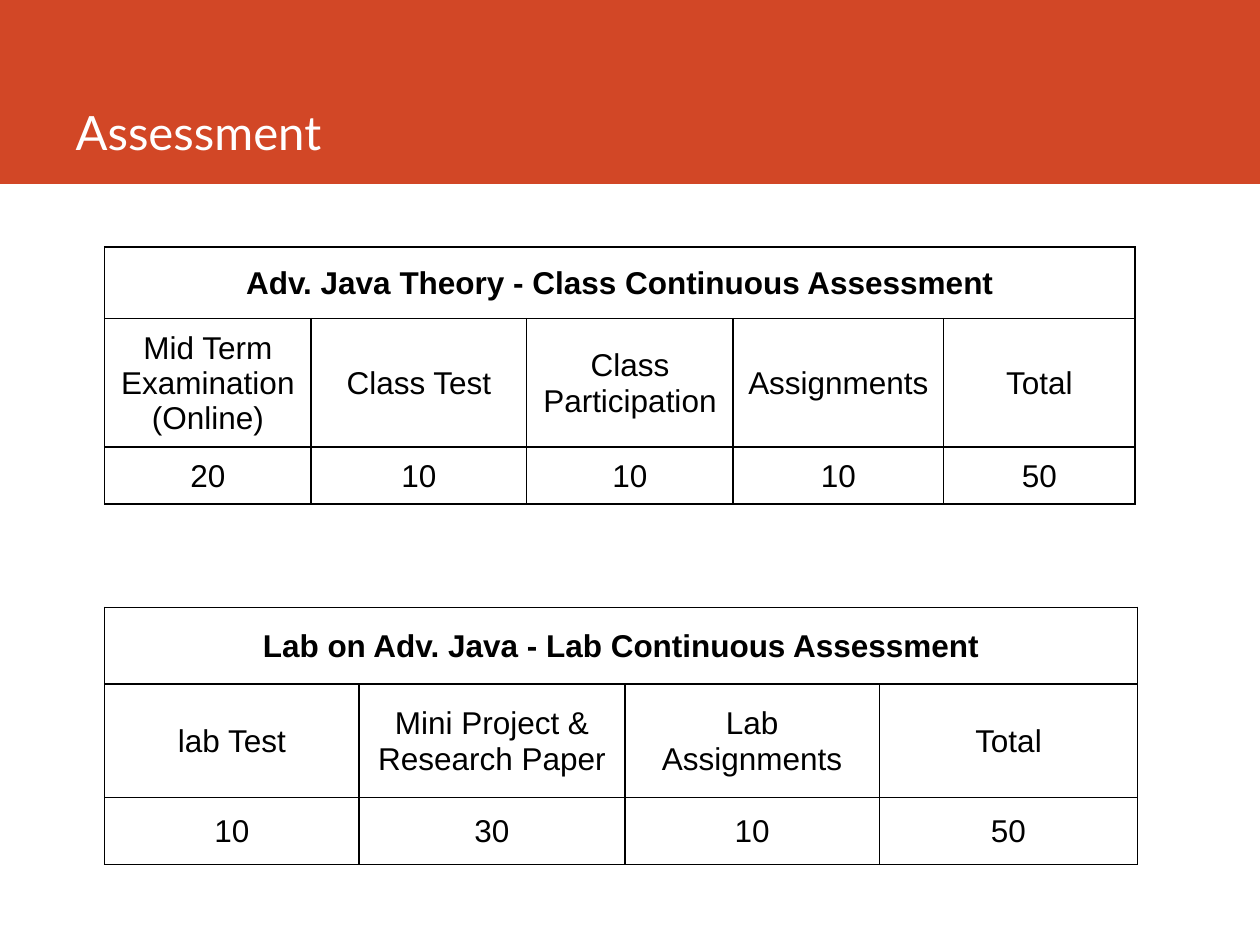
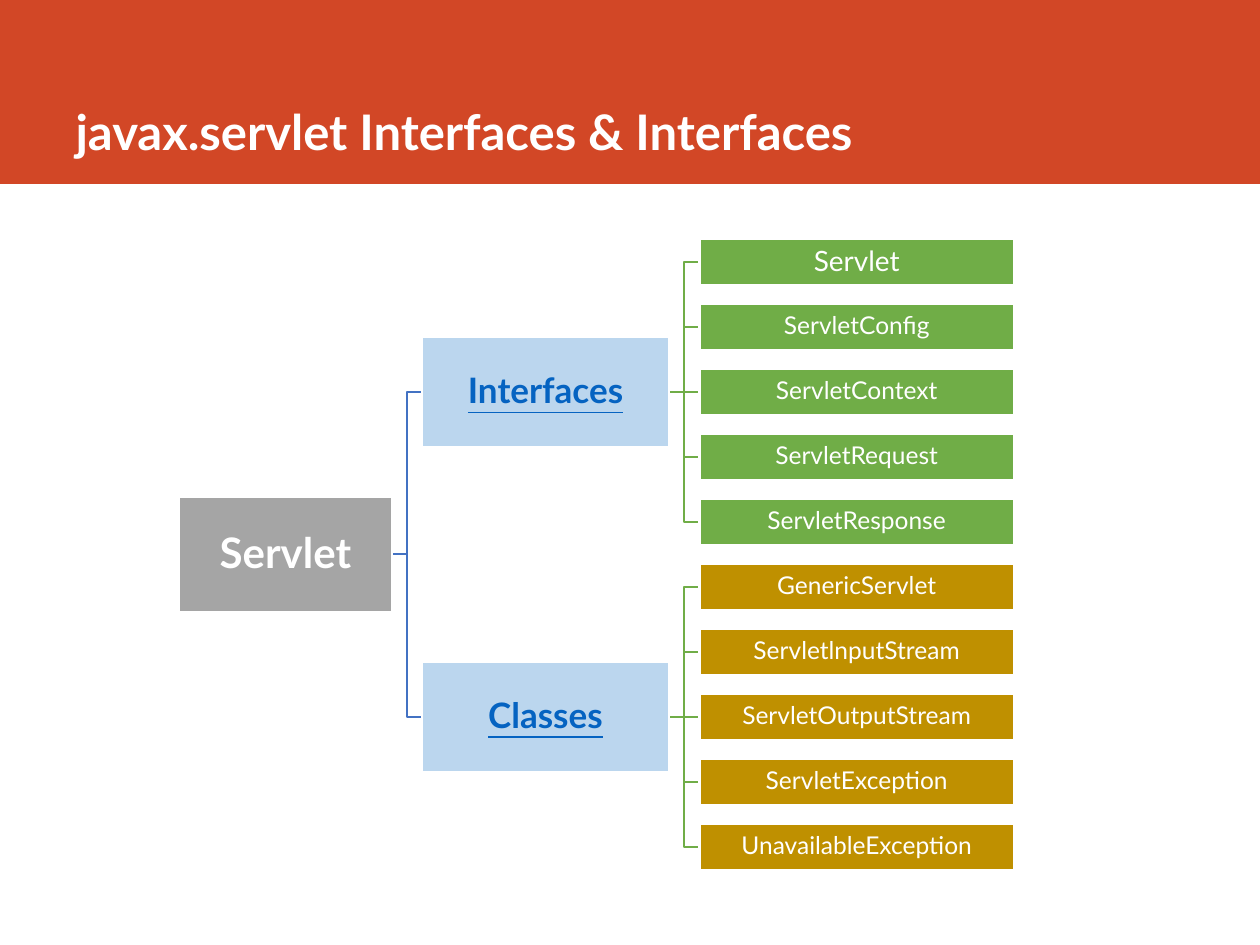
from lxml import etree
from pptx import Presentation
from pptx import util as u
from pptx.dml.color import RGBColor
from pptx.enum import shapes, text
from pptx.oxml import parse_xml
from pptx.oxml.ns import nsdecls, qn

ORANGE, WHITE, BLACK = "D24726", "FFFFFF", "000000"
GREY, SKY, GREEN, GOLD = "A5A5A5", "BBD6EE", "70AD47", "BF9000"
TRUNK_BLUE, LINK_BLUE = "4372C3", "0563C1"


def colour(code):
    return RGBColor.from_string(code)


def write(frame, words, size=18, font="Lato", ink=WHITE, bold=False, underline=None,
          align=text.PP_ALIGN.CENTER, spacing=None):
    """Fill a text frame; a newline starts a paragraph, a vertical tab breaks the line."""
    frame.text = words
    frame.word_wrap = True
    for paragraph in frame.paragraphs:
        paragraph.alignment = align
        paragraph.line_spacing = spacing
        for run in paragraph.runs:
            run.font.name, run.font.size = font, u.Pt(size)
            run.font.bold, run.font.underline = bold, underline
            run.font.color.rgb = colour(ink)


deck = Presentation()
deck.slide_width, deck.slide_height = u.Inches(10), u.Inches(7.5)
layout = deck.slide_layouts.get_by_name("Title Only")

# Slides and their titles
heading = layout.placeholders[0]
heading.left, heading.top = u.Inches(0.5), 0
heading.width, heading.height = u.Inches(8.82), u.Inches(1.32)

pages = []
for title, size, bold in [("Assessment", 27, False),
                          ("javax.servlet Interfaces & Interfaces", 28, True)]:
    page = deck.slides.add_slide(layout)
    frame = page.shapes.title.text_frame
    write(frame, title, size=size, bold=bold, align=text.PP_ALIGN.LEFT)
    frame.auto_size = text.MSO_AUTO_SIZE.NONE
    frame.vertical_anchor = text.MSO_ANCHOR.BOTTOM
    pages.append(page)
assessment, hierarchy = pages

# The title band belongs to the layout, behind the title
band = assessment.shapes.add_shape(shapes.MSO_SHAPE.RECTANGLE, 0, 0,
                                   deck.slide_width, u.Inches(1.46))
band.shadow.inherit = False
band.fill.solid()
band.fill.fore_color.rgb = colour(ORANGE)
band.line.fill.background()
layout.shapes.element.insert(2, band.element)

# Assessment tables: top, column widths, row heights, caption, rows
marks = [
    (1.96, [1.64, 1.71, 1.64, 1.67, 1.52], [0.57, 1.02, 0.45],
     "Adv. Java Theory - Class Continuous Assessment",
     [["Mid Term\vExamination\v(Online)", "Class Test", "Class Participation",
       "Assignments", "Total"],
      ["20", "10", "10", "10", "50"]]),
    (4.82, [2.02, 2.11, 2.02, 2.05], [0.61, 0.9, 0.53],
     "Lab on Adv. Java - Lab Continuous Assessment",
     [["lab Test", "Mini Project & Research Paper", "Lab\nAssignments", "Total"],
      ["10", "30", "10", "50"]]),
]
for top, widths, heights, caption, rows in marks:
    grid = assessment.shapes.add_table(
        len(heights), len(widths), u.Inches(0.83), u.Inches(top),
        u.Inches(sum(widths)), u.Inches(sum(heights))).table
    grid.first_row = grid.horz_banding = False
    for column, width in zip(grid.columns, widths):
        column.width = u.Inches(width)
    for row, height in zip(grid.rows, heights):
        row.height = u.Inches(height)
    for cell in grid.iter_cells():
        cell.margin_left = cell.margin_right = cell.margin_top = u.Inches(0.01)
        cell.margin_bottom = 0
        cell.vertical_anchor = text.MSO_ANCHOR.MIDDLE
        properties = cell._tc.get_or_add_tcPr()
        for side in ("lnL", "lnR", "lnT", "lnB"):
            properties.append(parse_xml(
                f'<a:{side} {nsdecls("a")} w="12700"><a:solidFill>'
                f'<a:srgbClr val="{BLACK}"/></a:solidFill></a:{side}>'))
        cell.fill.background()
    grid.cell(0, 0).merge(grid.cell(0, len(widths) - 1))
    write(grid.cell(0, 0).text_frame, caption, font="Arial", ink=BLACK, bold=True)
    for r, row in enumerate(rows, start=1):
        for c, words in enumerate(row):
            write(grid.cell(r, c).text_frame, words, font="Arial", ink=BLACK)

# Servlet hierarchy: each branch is centred on its middle member
branches = [
    ("Interfaces", GREEN, ["Servlet", "ServletConfig", "ServletContext",
                           "ServletRequest", "ServletResponse"]),
    ("Classes", GOLD, ["GenericServlet", "ServletlnputStream", "ServletOutputStream",
                       "ServletException", "UnavailableException"]),
]
FIRST_CENTRE, LAST_CENTRE = 2.08, 6.72
pitch = (LAST_CENTRE - FIRST_CENTRE) / 9
root_style = dict(size=24, bold=True)
branch_style = dict(size=20, bold=True, underline=True, ink=LINK_BLUE)

# Label, parent, left, centre line, width, height, fill, link colour, text format
nodes = [("Servlet", None, 1.42, (FIRST_CENTRE + LAST_CENTRE) / 2, 1.69, 0.92,
          GREY, None, root_style)]
for b, (branch, fill, members) in enumerate(branches):
    parent = len(nodes)
    first = FIRST_CENTRE + b * len(members) * pitch
    nodes.append((branch, 0, 3.35, first + len(members) // 2 * pitch, 1.96, 0.88,
                  SKY, TRUNK_BLUE, branch_style))
    for m, member in enumerate(members):
        nodes.append((member, parent, 5.55, first + m * pitch, 2.5, 0.37, fill, GREEN,
                      dict(size=16 if member == "Servlet" else 14)))

RIGHT_SITE, LEFT_SITE = 3, 1
boxes = []
for label, parent, left, centre, width, height, fill, link_colour, style in nodes:
    box = hierarchy.shapes.add_shape(
        shapes.MSO_SHAPE.RECTANGLE, u.Inches(left), u.Inches(centre - height / 2),
        u.Inches(width), u.Inches(height))
    box.shadow.inherit = False
    box.fill.solid()
    box.fill.fore_color.rgb = colour(fill)
    box.line.color.rgb, box.line.width = colour(WHITE), u.Pt(1.5)
    frame = box.text_frame
    frame.margin_left = frame.margin_right = u.Inches(0.01)
    frame.margin_top = frame.margin_bottom = u.Inches(0.01)
    frame.vertical_anchor = text.MSO_ANCHOR.MIDDLE
    write(frame, label, spacing=0.9, **style)
    boxes.append(box)
    if parent is None:
        continue
    level = abs(centre - nodes[parent][3]) < 0.01
    kind = shapes.MSO_CONNECTOR.STRAIGHT if level else shapes.MSO_CONNECTOR.ELBOW
    link = hierarchy.shapes.add_connector(kind, 0, 0, 0, 0)
    link.begin_connect(boxes[parent], RIGHT_SITE)
    link.end_connect(box, LEFT_SITE)
    link.line.color.rgb, link.line.width = colour(link_colour), u.Pt(1)
    etree.SubElement(link.element.spPr, qn("a:effectLst"))
    hierarchy.shapes.element.insert(2, link.element)  # links lie behind the boxes

deck.save("out.pptx")
